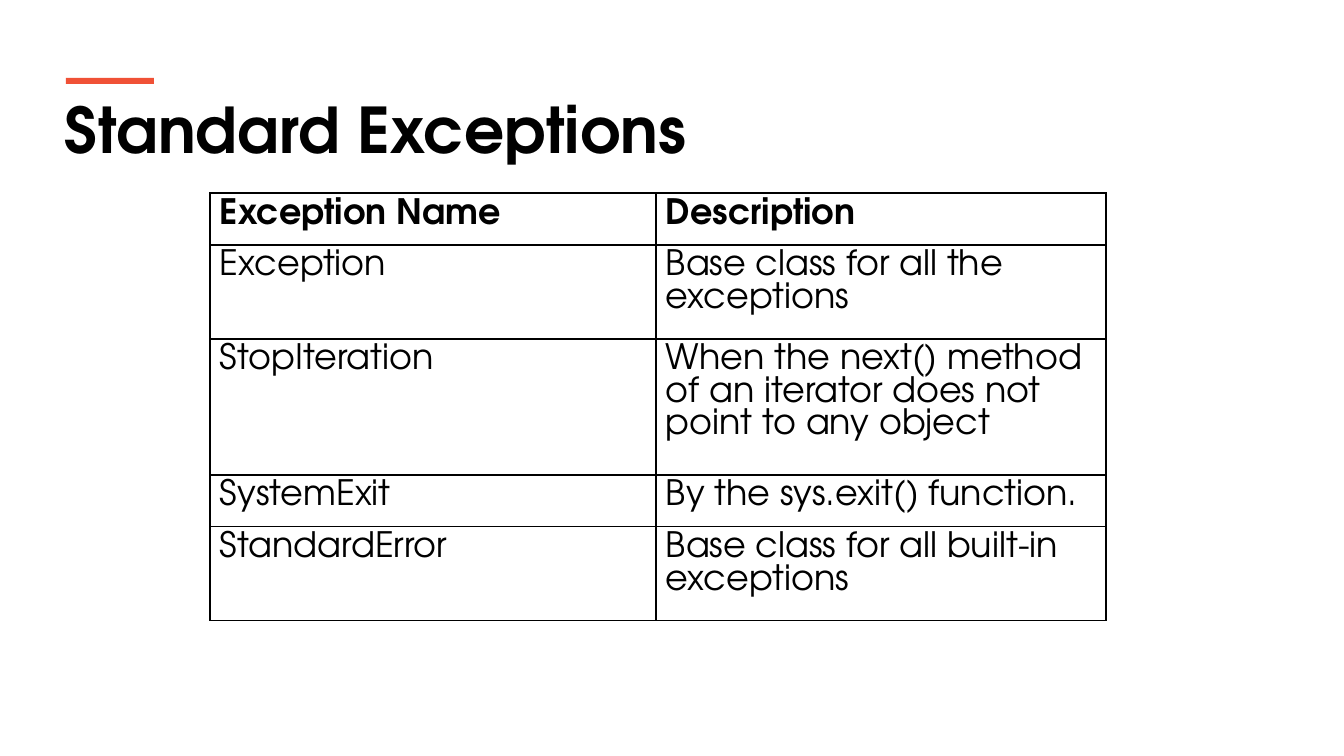
from dataclasses import dataclass

import lxml.etree
import pptx
import pptx.dml.color
import pptx.enum.shapes
import pptx.enum.text
import pptx.oxml.ns
import pptx.util

PIXEL = 914400 / 100.8
FONT = "TeX Gyre Adventor"
COLORS = {"text": "000000", "accent": "F05136", "border": "000000"}
COLUMN_WIDTHS = (446, 450)


@dataclass(frozen=True)
class Area:
    """A rectangle in pixels."""
    left: int
    top: int
    width: int
    height: int


@dataclass(frozen=True)
class ExceptionRow:
    """One table row: its height in pixels and its two texts."""
    height: int
    name: str
    description: str
    bold: bool = False


ROWS = (
    ExceptionRow(52, "Exception Name", "Description", True),
    ExceptionRow(94, "Exception", "Base class for all the exceptions"),
    ExceptionRow(136, "StopIteration",
                 "When the next() method of an iterator does not point to any object"),
    ExceptionRow(52, "SystemExit", "By the sys.exit() function."),
    ExceptionRow(94, "StandardError", "Base class for all built-in exceptions"),
)


def px(length: int) -> pptx.util.Emu:
    """Turn pixels into EMU."""
    return pptx.util.Emu(round(length * PIXEL))


def place(area: Area) -> tuple:
    """Give an area as the four lengths a shape needs."""
    return px(area.left), px(area.top), px(area.width), px(area.height)


def color(name: str) -> pptx.dml.color.RGBColor:
    """Look up a named colour."""
    return pptx.dml.color.RGBColor.from_string(COLORS[name])


def add_span(para, text: str, size: float, bold: bool) -> None:
    """Add one styled run to a paragraph."""
    span = para.add_run()
    span.text = text
    span.font.name = FONT
    span.font.size = pptx.util.Pt(size)
    span.font.bold = bold
    span.font.color.rgb = color("text")


def add_title(page, area: Area, text: str) -> None:
    """Add the slide title."""
    box = page.shapes.add_textbox(*place(area))
    frame = box.text_frame
    frame.word_wrap = True
    frame.vertical_anchor = pptx.enum.text.MSO_ANCHOR.MIDDLE
    frame.margin_left = frame.margin_right = px(6)
    frame.margin_top = frame.margin_bottom = 0
    add_span(frame.paragraphs[0], text, 45, True)


def add_bar(page, area: Area) -> None:
    """Add the accent bar above the title."""
    bar = page.shapes.add_shape(pptx.enum.shapes.MSO_SHAPE.RECTANGLE, *place(area))
    bar.shadow.inherit = False
    bar.fill.solid()
    bar.fill.fore_color.rgb = color("accent")
    bar.line.fill.background()


def add_borders(cell) -> None:
    """Draw a thin line on all four sides of a cell."""
    properties = cell._tc.get_or_add_tcPr()
    for index, side in enumerate(("a:lnL", "a:lnR", "a:lnT", "a:lnB")):
        line = lxml.etree.Element(pptx.oxml.ns.qn(side), w=str(pptx.util.Pt(1)))
        fill = lxml.etree.SubElement(line, pptx.oxml.ns.qn("a:solidFill"))
        lxml.etree.SubElement(fill, pptx.oxml.ns.qn("a:srgbClr"), val=COLORS["border"])
        properties.insert(index, line)


def fill_cell(cell, text: str, bold: bool) -> None:
    """Write and style one table cell."""
    cell.fill.background()
    cell.margin_left = cell.margin_right = px(10)
    cell.margin_top = cell.margin_bottom = px(5)
    para = cell.text_frame.paragraphs[0]
    para.line_spacing = pptx.util.Pt(23.2)
    add_span(para, text, 25, bold)
    add_borders(cell)


def add_exception_table(page, left: int, top: int) -> None:
    """Add the table of standard exceptions."""
    area = Area(left, top, sum(COLUMN_WIDTHS), sum(row.height for row in ROWS))
    table = page.shapes.add_table(len(ROWS), len(COLUMN_WIDTHS), *place(area)).table
    table.first_row = table.horz_banding = False
    for column, width in zip(table.columns, COLUMN_WIDTHS):
        column.width = px(width)
    for index, row in enumerate(ROWS):
        table.rows[index].height = px(row.height)
        for position, text in enumerate((row.name, row.description)):
            fill_cell(table.cell(index, position), text, row.bold)


deck = pptx.Presentation()
deck.slide_width, deck.slide_height = px(1344), px(756)
page = deck.slides.add_slide(deck.slide_layouts[6])
add_title(page, Area(59, 85, 1228, 86), "Standard Exceptions")
add_bar(page, Area(66, 78, 88, 6))
add_exception_table(page, 210, 193)
deck.save("out.pptx")
